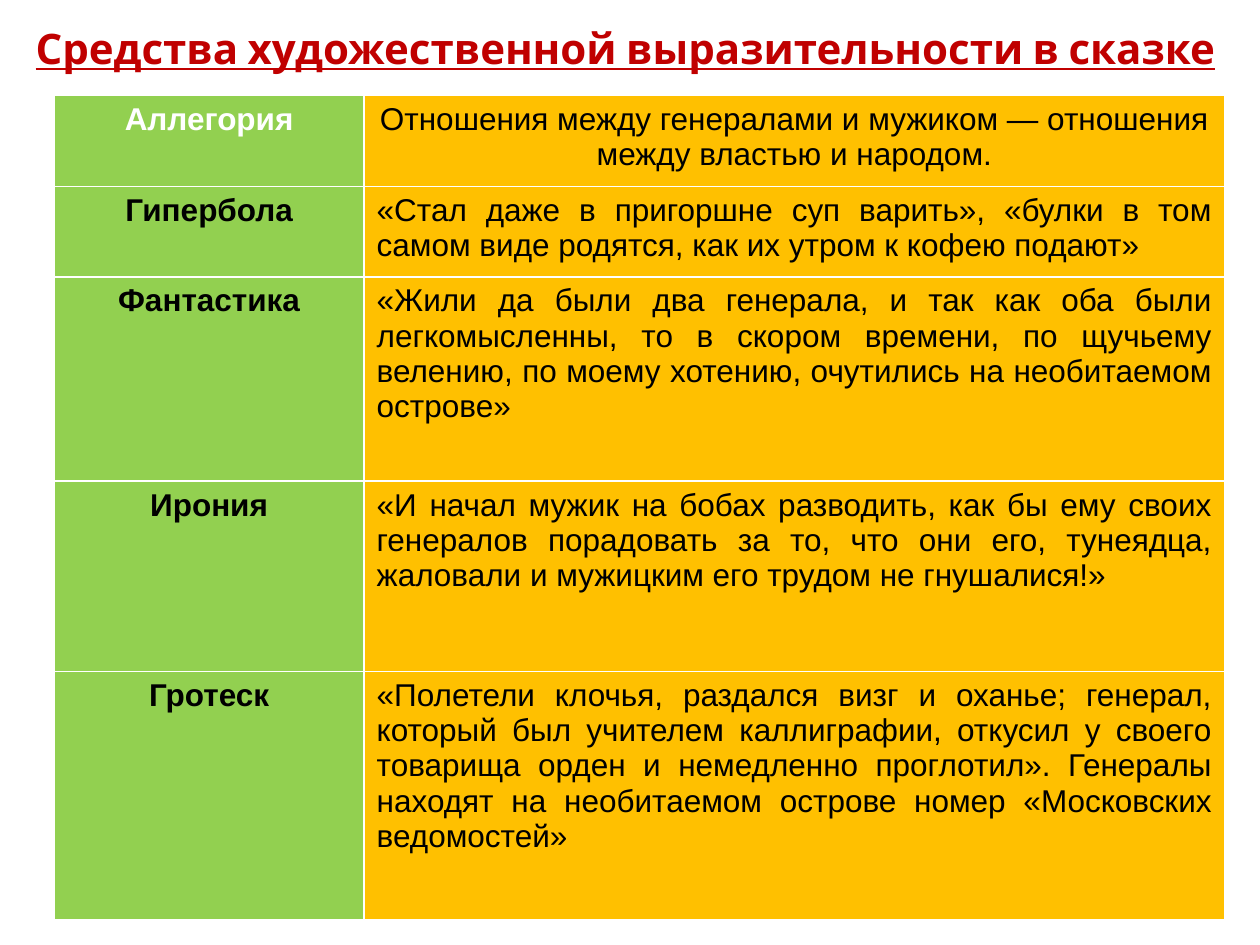
from dataclasses import dataclass

from pptx import Presentation
from pptx.dml.color import RGBColor
from pptx.enum.text import MSO_ANCHOR, MSO_AUTO_SIZE, PP_ALIGN
from pptx.util import Inches, Pt

GREEN, AMBER, RED = "92D050", "FFC000", "C00000"
BLACK, WHITE = "000000", "FFFFFF"
COLUMN_WIDTHS = (2.46, 6.83)


@dataclass
class Device:
    name: str
    example: str
    height: float
    name_color: str = BLACK
    example_align: PP_ALIGN = PP_ALIGN.JUSTIFY


DEVICES = [
    Device("Аллегория",
           "Отношения между генералами и мужиком — отношения между властью и народом.",
           0.72, WHITE, PP_ALIGN.CENTER),
    Device("Гипербола",
           "«Стал даже в пригоршне суп варить», «булки в том самом виде родятся, "
           "как их утром к кофею подают»", 0.72),
    Device("Фантастика",
           "«Жили да были два генерала, и так как оба были легкомысленны, то в скором "
           "времени, по щучьему велению, по моему хотению, очутились на необитаемом "
           "острове»", 1.62),
    Device("Ирония",
           "«И начал мужик на бобах разводить, как бы ему своих генералов порадовать "
           "за то, что они его, тунеядца, жаловали и мужицким его трудом не "
           "гнушалися!»", 1.51),
    Device("Гротеск",
           "«Полетели клочья, раздался визг и оханье; генерал, который был учителем "
           "каллиграфии, откусил у своего товарища орден и немедленно проглотил». "
           "Генералы находят на необитаемом острове номер «Московских ведомостей»", 1.97),
]


def rgb(value: str) -> RGBColor:
    return RGBColor.from_string(value)


def style_paragraph(p, font: str, size: int, color: str, bold: bool,
                    align: PP_ALIGN) -> None:
    p.alignment = align
    p.font.name = font
    p.font.size = Pt(size)
    p.font.bold = bold
    p.font.color.rgb = rgb(color)


def add_title(slide, text: str) -> None:
    sp = slide.shapes.title
    sp.left, sp.top = Inches(0.12), Inches(0.13)
    sp.width, sp.height = Inches(9.69), Inches(0.5)
    tf = sp.text_frame
    tf.text = text
    tf.word_wrap = True
    tf.auto_size = MSO_AUTO_SIZE.NONE
    tf.vertical_anchor = MSO_ANCHOR.MIDDLE
    p = tf.paragraphs[0]
    style_paragraph(p, "Cabin", 24, RED, True, PP_ALIGN.CENTER)
    p.font.underline = True


def fill_cell(cell, text: str, fill: str, color: str, bold: bool,
              align: PP_ALIGN) -> None:
    cell.fill.solid()
    cell.fill.fore_color.rgb = rgb(fill)
    cell.text = text
    style_paragraph(cell.text_frame.paragraphs[0], "Arial", 18, color, bold, align)


def add_device_table(slide, devices: list[Device]) -> None:
    height = sum(device.height for device in devices)
    table = slide.shapes.add_table(
        len(devices), len(COLUMN_WIDTHS), Inches(0.43), Inches(0.76),
        Inches(sum(COLUMN_WIDTHS)), Inches(height)).table
    for column, width in zip(table.columns, COLUMN_WIDTHS):
        column.width = Inches(width)
    for row, device in zip(table.rows, devices):
        row.height = Inches(device.height)
        name, example = row.cells
        fill_cell(name, device.name, GREEN, device.name_color, True, PP_ALIGN.CENTER)
        fill_cell(example, device.example, AMBER, BLACK, False, device.example_align)


def main() -> None:
    """Build the slide on expressive devices in the tale."""
    prs = Presentation()
    prs.slide_width, prs.slide_height = Inches(10), Inches(7.5)
    slide = prs.slides.add_slide(prs.slide_layouts[5])
    add_title(slide, "Средства художественной выразительности в сказке")
    add_device_table(slide, DEVICES)
    prs.save("out.pptx")


if __name__ == "__main__":
    main()
